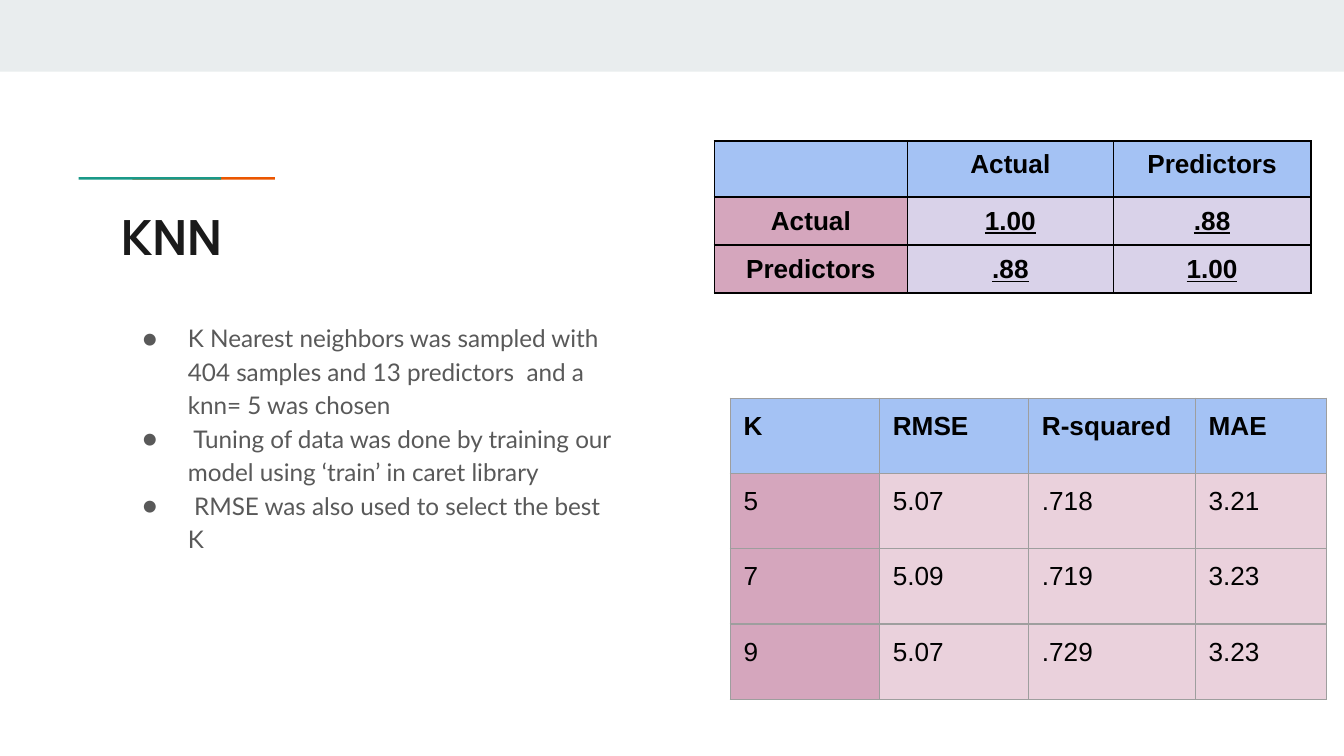
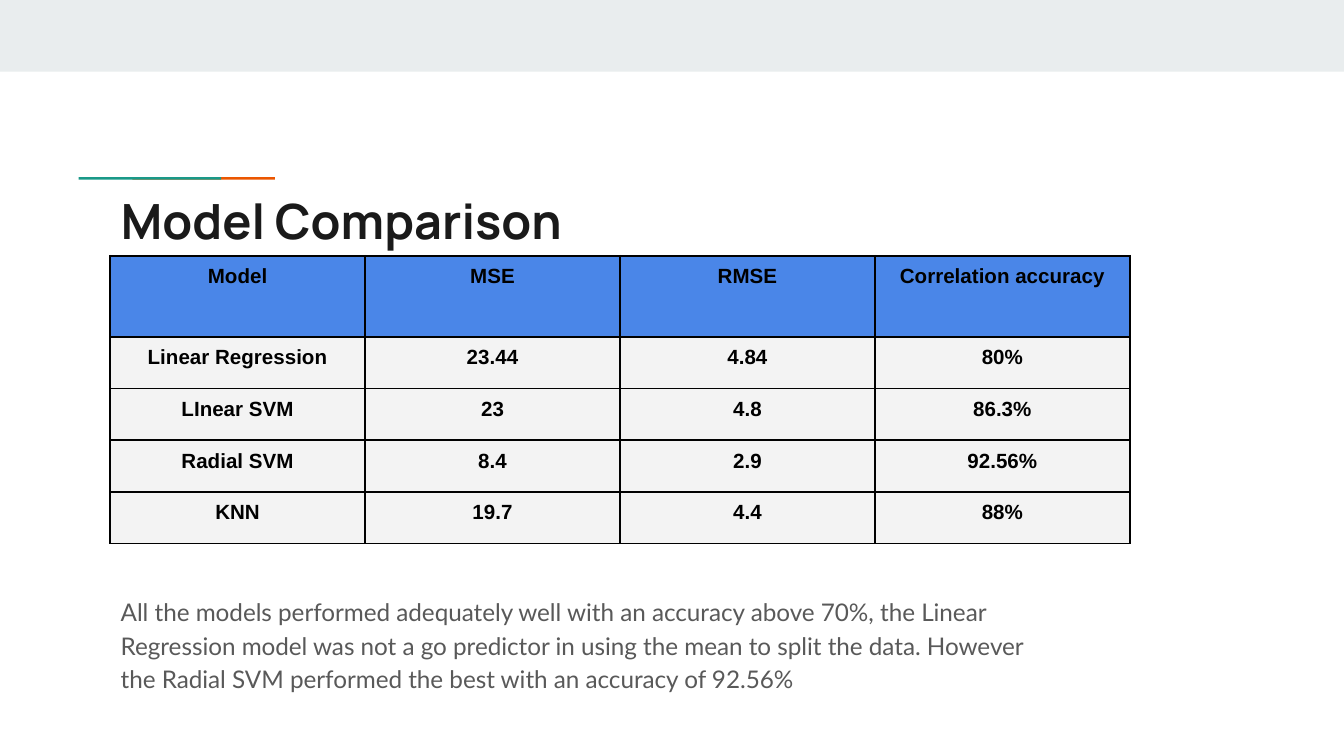
import lxml.etree
import pptx
import pptx.dml.color
import pptx.enum.shapes
import pptx.enum.text
import pptx.oxml.ns
import pptx.util

Pt = pptx.util.Pt
RGB = pptx.dml.color.RGBColor.from_string
qn = pptx.oxml.ns.qn
ALIGN = pptx.enum.text.PP_ALIGN


class Theme:
    band, orange, teal = "E9EDEE", "EB5600", "1A9988"
    title, body, black, grid = "1A1A1A", "595959", "000000", "9E9E9E"
    sky, blue, rose, pink = "A4C2F4", "4A86E8", "D5A6BD", "EAD1DC"
    lilac, pale = "D9D2E9", "F3F3F3"
    title_font, body_font, table_font = "Manrope", "Lato", "Arial"
    title_size, body_size, table_size, small_size = 26, 13, 14, 11
    inset = 7.2
    cell_inset = 5


SLIDES = [
    dict(
        title="KNN", title_top=103.7,
        body=["K Nearest neighbors was sampled with 404 samples and 13 predictors  and a knn= 5 was chosen",
              " Tuning of data was done by training our model using ‘train’ in caret library",
              " RMSE was also used to select the best K"],
        body_box=(57.6, 163.8, 279.4, 177.8), bullets=True,
        tables=[
            dict(rows=[["", "Actual", "Predictors"],
                       ["Actual", "1.00", ".88"],
                       ["Predictors", ".88", "1.00"]],
                 at=(382.7, 75.5), cols=[103.4, 110.4, 105.8], heights=[30, 25.7, 25.7],
                 fills=(Theme.sky, Theme.rose, Theme.lilac), bold_body=True,
                 underline_body=True, align=ALIGN.CENTER),
            dict(rows=[["K", "RMSE", "R-squared", "MAE"],
                       ["5", "5.07", ".718", "3.21"],
                       ["7", "5.09", ".719", "3.23"],
                       ["9", "5.07", ".729", "3.23"]],
                 at=(391.2, 213.3), cols=[79.9, 79.9, 89.3, 70.4], heights=[40.35] * 4,
                 fills=(Theme.sky, Theme.rose, Theme.pink),
                 border=(Theme.grid, 0.75), inset=Theme.inset),
        ],
    ),
    dict(
        title="Model Comparison", title_top=95,
        body=["All the models performed adequately well with an accuracy above 70%, the Linear Regression model was not a go predictor in using the mean to split the data. However the Radial SVM performed the best with an accuracy of 92.56%"],
        body_box=(57.6, 310.5, 513.4, 79.2), bullets=False,
        tables=[
            dict(rows=[["Model", "MSE", "RMSE", "Correlation accuracy"],
                       ["Linear Regression", "23.44", "4.84", "80%"],
                       ["LInear SVM", "23", "4.8", "86.3%"],
                       ["Radial SVM", "8.4", "2.9", "92.56%"],
                       ["KNN", "19.7", "4.4", "88%"]],
                 at=(59, 137), cols=[136.6] * 4, heights=[43.5] + [27.7] * 4,
                 fills=(Theme.blue, Theme.pale, Theme.pale), bold_body=True,
                 size=Theme.small_size, align=ALIGN.CENTER),
        ],
    ),
]


def write(p, text, *, size, font, color, bold=False, underline=False, align=ALIGN.LEFT):
    p.alignment = align
    r = p.add_run()
    r.text = text
    r.font.size, r.font.name = Pt(size), font
    r.font.bold, r.font.underline = bold, underline
    r.font.color.rgb = RGB(color)


def set_insets(target, inset):
    target.margin_left = target.margin_right = Pt(inset)
    target.margin_top = target.margin_bottom = Pt(inset)


def place(sp, left, top, width, height):
    sp.left, sp.top, sp.width, sp.height = Pt(left), Pt(top), Pt(width), Pt(height)


def prepare_frame(tf):
    tf.word_wrap = True
    tf.auto_size = pptx.enum.text.MSO_AUTO_SIZE.NONE
    tf.vertical_anchor = pptx.enum.text.MSO_ANCHOR.TOP
    set_insets(tf, Theme.inset)


def add_rect(shapes, left, top, width, height, color, rotation=0):
    sp = shapes.add_shape(pptx.enum.shapes.MSO_SHAPE.RECTANGLE,
                          Pt(left), Pt(top), Pt(width), Pt(height))
    sp.rotation = rotation
    sp.shadow.inherit = False
    sp.fill.solid()
    sp.fill.fore_color.rgb = RGB(color)
    sp.line.fill.background()


def add_accent(s):
    group = s.shapes.add_group_shape()
    for left, color in ((11.1, Theme.orange), (0, Theme.teal)):
        add_rect(group.shapes, left, 0, 1.4, 29.5, color, rotation=270)
    place(group, 78.5, 80.8, 32.4, 29.5)


def add_frame(s, title, top):
    add_rect(s.shapes, 0, 0, 720, 38.4, Theme.band)
    add_accent(s)
    sp = s.shapes.title
    place(sp, 57.6, top, 605.5, 42.5)
    prepare_frame(sp.text_frame)
    write(sp.text_frame.paragraphs[0], title, size=Theme.title_size,
          font=Theme.title_font, color=Theme.title, bold=True)


def add_bullet(p):
    pPr = p._p.get_or_add_pPr()
    pPr.set("marL", str(Pt(36)))
    pPr.set("indent", str(-Pt(24.3)))
    clr = lxml.etree.SubElement(pPr, qn("a:buClr"))
    lxml.etree.SubElement(clr, qn("a:srgbClr"), val=Theme.body)
    lxml.etree.SubElement(pPr, qn("a:buFont"), typeface=Theme.body_font)
    lxml.etree.SubElement(pPr, qn("a:buChar"), char="●")


def add_body(s, texts, box, bullets):
    tf = s.shapes.add_textbox(*map(Pt, box)).text_frame
    prepare_frame(tf)
    for i, text in enumerate(texts):
        p = tf.add_paragraph() if i else tf.paragraphs[0]
        if bullets:
            add_bullet(p)
        p.line_spacing = 1.15
        write(p, text, size=Theme.body_size, font=Theme.body_font, color=Theme.body)


def set_borders(cell, color, width):
    tcPr = cell._tc.get_or_add_tcPr()
    for side in ("lnL", "lnR", "lnT", "lnB"):
        ln = lxml.etree.SubElement(tcPr, qn("a:" + side), w=str(Pt(width)))
        fill = lxml.etree.SubElement(ln, qn("a:solidFill"))
        lxml.etree.SubElement(fill, qn("a:srgbClr"), val=color)


def add_table(s, rows, at, cols, heights, fills, border=(Theme.black, 1),
              inset=Theme.cell_inset, size=Theme.table_size, align=ALIGN.LEFT,
              bold_body=False, underline_body=False):
    table = s.shapes.add_table(len(rows), len(cols), Pt(at[0]), Pt(at[1]),
                               Pt(sum(cols)), Pt(sum(heights))).table
    table.first_row = table.horz_banding = False
    for col, width in zip(table.columns, cols):
        col.width = Pt(width)
    head, side, inner = fills
    for i, row in enumerate(rows):
        table.rows[i].height = Pt(heights[i])
        for j, text in enumerate(row):
            cell = table.cell(i, j)
            set_insets(cell, inset)
            set_borders(cell, *border)
            cell.fill.solid()
            cell.fill.fore_color.rgb = RGB(head if i == 0 else side if j == 0 else inner)
            write(cell.text_frame.paragraphs[0], text, size=size,
                  font=Theme.table_font, color=Theme.black, align=align,
                  bold=i == 0 or bold_body,
                  underline=underline_body and i > 0 and j > 0)


def main():
    prs = pptx.Presentation()
    prs.slide_width, prs.slide_height = Pt(720), Pt(405)
    for content in SLIDES:
        s = prs.slides.add_slide(prs.slide_layouts[5])
        add_frame(s, content["title"], content["title_top"])
        add_body(s, content["body"], content["body_box"], content["bullets"])
        for table in content["tables"]:
            add_table(s, **table)
    prs.save("out.pptx")


if __name__ == "__main__":
    main()
